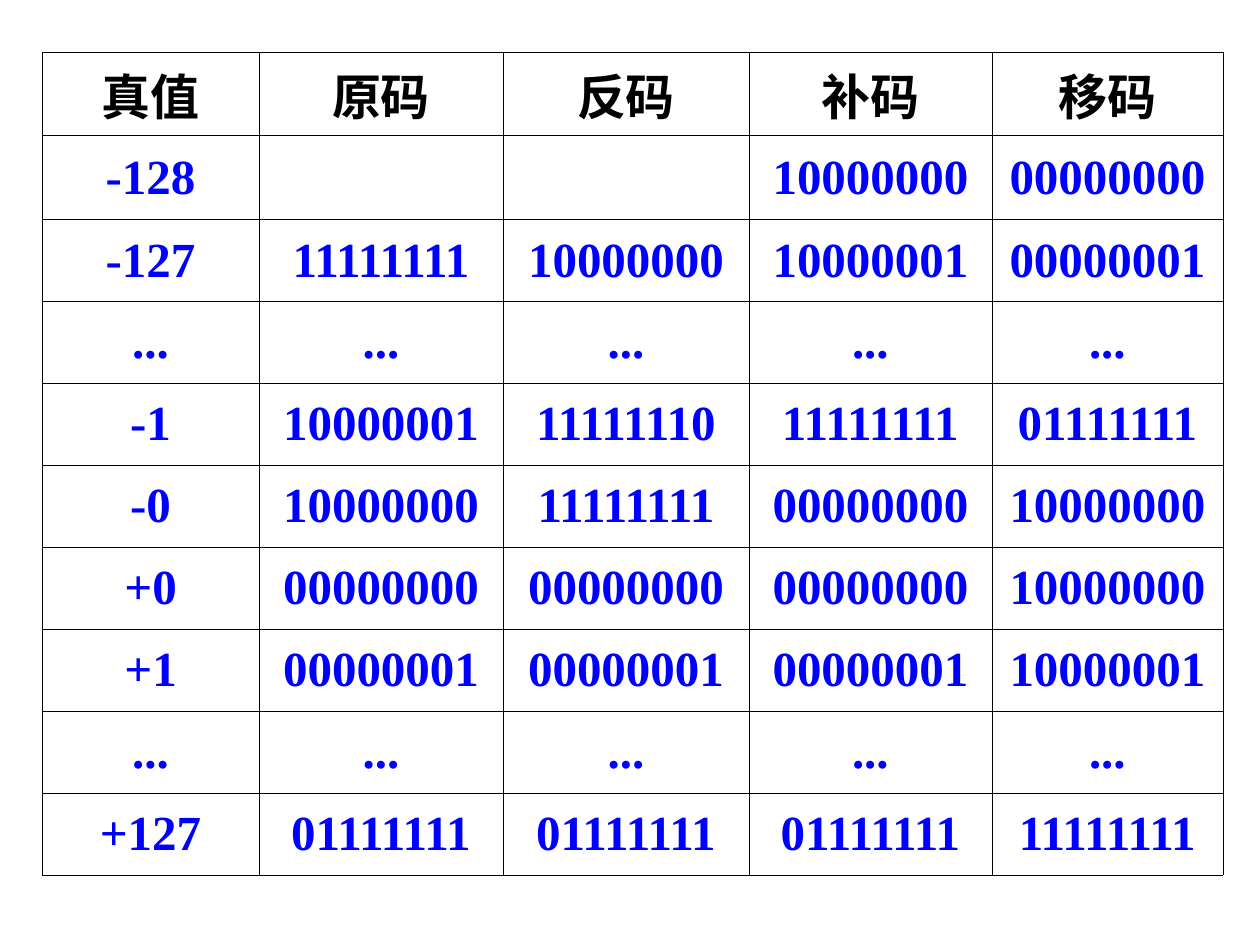
from typing import NamedTuple

from lxml.etree import SubElement
from pptx import Presentation
from pptx.dml.color import RGBColor
from pptx.enum.text import MSO_ANCHOR, PP_ALIGN
from pptx.oxml.ns import qn
from pptx.util import Emu, Pt

PX = 914400 // 126
BLACK = RGBColor(0x00, 0x00, 0x00)
BLUE = RGBColor(0x00, 0x00, 0xFF)
FONT = "Times New Roman"
FONT_SIZE = Pt(28)
BORDER_WIDTH = Pt(0.34)
HANGING_INDENT = 48

TABLE_LEFT, TABLE_TOP = 42, 52
COLUMN_WIDTHS = (217, 244, 246, 243, 231)
ROW_HEIGHT = 82
FIRST_VALUE_ROW_HEIGHT = 84


class CodeRow(NamedTuple):
    true_value: str
    sign_magnitude: str
    ones_complement: str
    twos_complement: str
    offset_binary: str


ELLIPSIS_ROW = CodeRow(*["..."] * 5)
ROWS = (
    CodeRow("真值", "原码", "反码", "补码", "移码"),
    CodeRow("-128", "", "", "10000000", "00000000"),
    CodeRow("-127", "11111111", "10000000", "10000001", "00000001"),
    ELLIPSIS_ROW,
    CodeRow("-1", "10000001", "11111110", "11111111", "01111111"),
    CodeRow("-0", "10000000", "11111111", "00000000", "10000000"),
    CodeRow("+0", "00000000", "00000000", "00000000", "10000000"),
    CodeRow("+1", "00000001", "00000001", "00000001", "10000001"),
    ELLIPSIS_ROW,
    CodeRow("+127", "01111111", "01111111", "01111111", "11111111"),
)


def px(length: int) -> Emu:
    return Emu(length * PX)


def add_borders(cell) -> None:
    properties = cell._tc.get_or_add_tcPr()
    for side in ("lnL", "lnR", "lnT", "lnB"):
        line = SubElement(properties, qn(f"a:{side}"), w=str(int(BORDER_WIDTH)))
        fill = SubElement(line, qn("a:solidFill"))
        SubElement(fill, qn("a:srgbClr"), val=str(BLACK))


def fill_cell(cell, text: str, color: RGBColor) -> None:
    add_borders(cell)
    cell.fill.background()
    cell.vertical_anchor = MSO_ANCHOR.MIDDLE
    if not text:
        return
    cell.text = text
    paragraph = cell.text_frame.paragraphs[0]
    paragraph.alignment = PP_ALIGN.CENTER
    properties = paragraph._p.get_or_add_pPr()
    properties.set("marL", str(px(HANGING_INDENT)))
    properties.set("indent", str(px(-HANGING_INDENT)))
    font = paragraph.font
    font.name = FONT
    font.size = FONT_SIZE
    font.bold = True
    font.color.rgb = color


def add_code_table(slide, rows: tuple[CodeRow, ...]) -> None:
    row_heights = [ROW_HEIGHT] * len(rows)
    row_heights[1] = FIRST_VALUE_ROW_HEIGHT
    table = slide.shapes.add_table(
        len(rows), len(COLUMN_WIDTHS), px(TABLE_LEFT), px(TABLE_TOP),
        px(sum(COLUMN_WIDTHS)), px(sum(row_heights)),
    ).table
    table.first_row = False
    table.horz_banding = False
    for column, width in zip(table.columns, COLUMN_WIDTHS):
        column.width = px(width)
    for index, (table_row, height, texts) in enumerate(zip(table.rows, row_heights, rows)):
        table_row.height = px(height)
        for cell, text in zip(table_row.cells, texts):
            fill_cell(cell, text, BLUE if index else BLACK)


def main() -> None:
    presentation = Presentation()
    presentation.slide_width = px(1260)
    presentation.slide_height = px(945)
    slide = presentation.slides.add_slide(presentation.slide_layouts[6])
    add_code_table(slide, ROWS)
    presentation.save("out.pptx")


if __name__ == "__main__":
    main()
